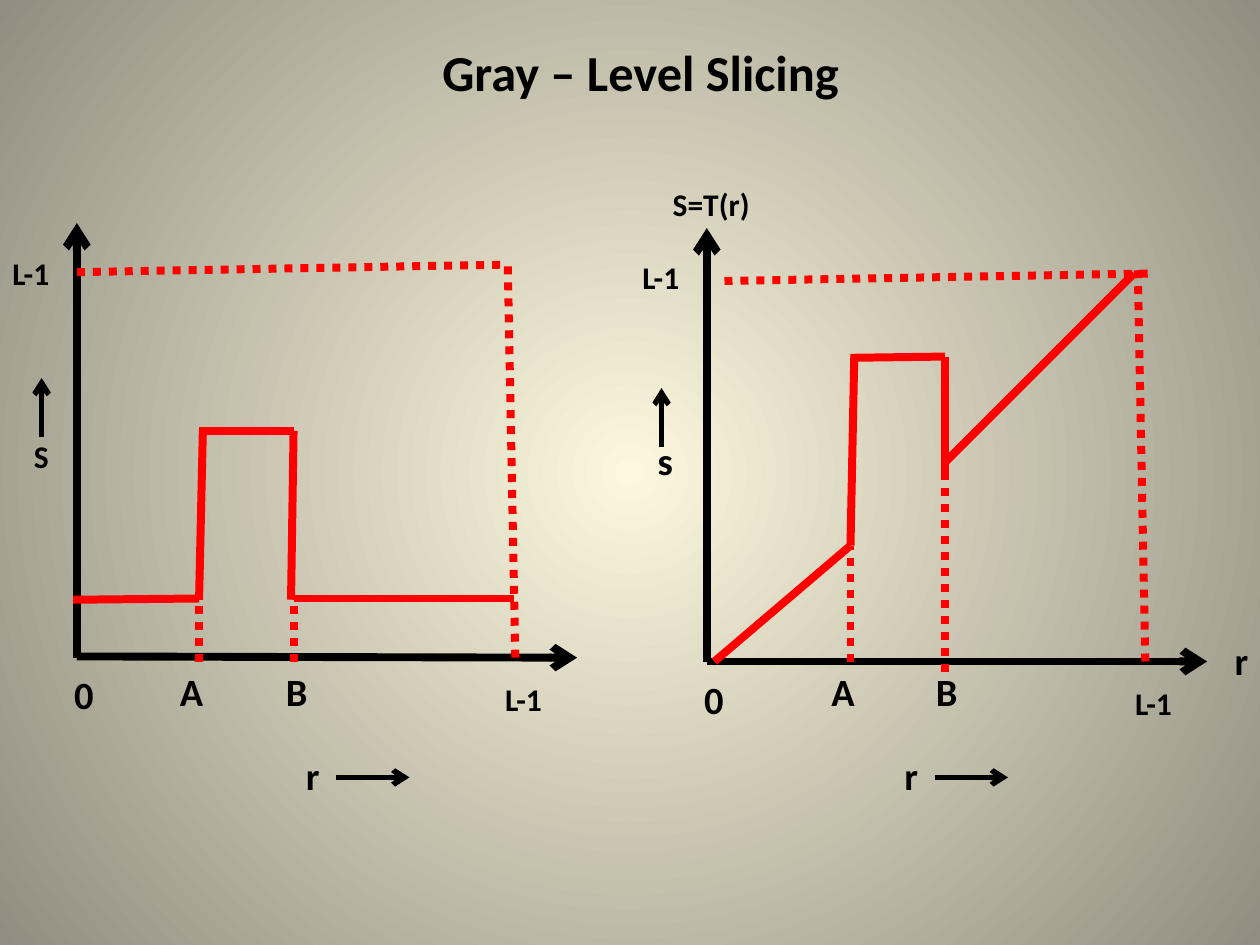
"""Build a slide with two gray-level slicing transfer functions."""
from lxml import etree
from pptx import Presentation
from pptx.dml.color import RGBColor
from pptx.enum import dml, shapes, text
from pptx.oxml import ns
from pptx.util import Inches, Pt


def color(value):
    return RGBColor.from_string(value)


def format_text(frame, wording, size):
    frame.text = wording
    paragraph = frame.paragraphs[0]
    paragraph.font.size = Pt(size)
    paragraph.font.name = "Calibri"
    paragraph.font.bold = True
    paragraph.font.color.rgb = color("000000")
    return paragraph


presentation = Presentation()
presentation.slide_width = Inches(10)
presentation.slide_height = Inches(7.5)
slide = presentation.slides.add_slide(presentation.slide_layouts[5])

fill = slide.background.fill
fill.gradient()
for stop, value in zip(fill.gradient_stops, ("FCF7DD", "918E81")):
    stop.color.rgb = color(value)
gradient = next(slide.element.iter(ns.qn("a:gradFill")))
gradient.remove(gradient.find(ns.qn("a:lin")))
circle = etree.SubElement(gradient, ns.qn("a:path"), path="circle")
etree.SubElement(circle, ns.qn("a:fillToRect"), l="50000", t="50000", r="50000", b="50000")

title = slide.shapes.title
title.left, title.top, title.width, title.height = map(Inches, (0.5, 0.3, 9.17, 0.53))
title.text_frame.vertical_anchor = text.MSO_ANCHOR.MIDDLE
title.text_frame.auto_size = text.MSO_AUTO_SIZE.NONE
format_text(title.text_frame, "Gray – Level Slicing", 28.8).alignment = text.PP_ALIGN.CENTER

axes = [
    (0.61, 5.22, 0.61, 1.77), (0.61, 5.21, 4.58, 5.22),
    (5.61, 5.25, 5.61, 1.81), (5.61, 5.25, 9.58, 5.25),
]
curves = [
    (1.61, 3.42, 1.58, 4.76), (2.33, 3.42, 2.31, 4.76), (2.33, 3.42, 1.58, 3.42),
    (1.58, 4.75, 0.58, 4.76), (4.08, 4.75, 2.33, 4.75),
    (6.78, 2.83, 6.75, 4.33), (7.5, 2.83, 7.5, 3.75), (7.5, 2.83, 6.75, 2.84),
    (6.75, 4.33, 5.67, 5.25), (9, 2.17, 7.5, 3.67),
]
guides = [
    (0.61, 2.16, 4.03, 2.1), (4.09, 5.22, 4.03, 2.1),
    (5.75, 2.23, 9.17, 2.17), (9.09, 5.25, 9.03, 2.13),
    (2.33, 5.25, 2.33, 4.75), (1.58, 5.25, 1.58, 4.75),
    (6.75, 5.25, 6.75, 4.33), (7.5, 5.33, 7.5, 3.75),
]
direction_arrows = [
    (0.33, 3.47, 0.33, 3), (5.25, 3.55, 5.25, 3.08),
    (2.67, 6.17, 3.25, 6.17), (7.42, 6.17, 8, 6.17),
]
line_groups = [
    (axes, "000000", 4.5, False, True),
    (curves, "FF0000", 4.55, False, False),
    (guides, "FF0000", 4.55, True, False),
    (direction_arrows, "000000", 3, False, True),
]
for lines, value, width, dotted, arrow in line_groups:
    for ends in lines:
        connector = slide.shapes.add_connector(
            shapes.MSO_CONNECTOR.STRAIGHT, *map(Inches, ends))
        connector.line.color.rgb = color(value)
        connector.line.width = Pt(width)
        if dotted:
            connector.line.dash_style = dml.MSO_LINE.ROUND_DOT
        if arrow:
            etree.SubElement(connector.line._get_or_add_ln(), ns.qn("a:tailEnd"), type="arrow")
        properties = connector.element.find(ns.qn("p:spPr"))
        etree.SubElement(properties, ns.qn("a:effectLst"))

labels = [
    ("0", 22, 0.49, 5.28, 0.31, 0.37), ("0", 22, 5.49, 5.32, 0.31, 0.37),
    ("L-1", 18, 3.91, 5.35, 0.55, 0.4), ("L-1", 18, 8.91, 5.38, 0.55, 0.4),
    ("L-1", 18, 0, 1.97, 0.55, 0.4), ("L-1", 18, 5, 2, 0.55, 0.4),
    ("r", 22, 2.33, 5.92, 0.55, 0.37), ("r", 22, 7.08, 5.92, 0.55, 0.37),
    ("r", 22, 9.7, 5.01, 0.55, 0.37),
    ("S", 18, 0.17, 3.42, 0.42, 0.4), ("s", 22, 5.12, 3.42, 0.55, 0.47),
    ("S=T(r)", 18, 5.24, 1.42, 0.92, 0.4),
    ("A", 22, 1.33, 5.25, 0.5, 0.47), ("B", 22, 2.17, 5.25, 0.5, 0.47),
    ("A", 22, 6.5, 5.25, 0.5, 0.47), ("B", 22, 7.33, 5.25, 0.5, 0.47),
]
for wording, size, *box in labels:
    label = slide.shapes.add_textbox(*map(Inches, box))
    label.text_frame.word_wrap = True
    label.text_frame.auto_size = text.MSO_AUTO_SIZE.SHAPE_TO_FIT_TEXT
    format_text(label.text_frame, wording, size)

presentation.save("out.pptx")
